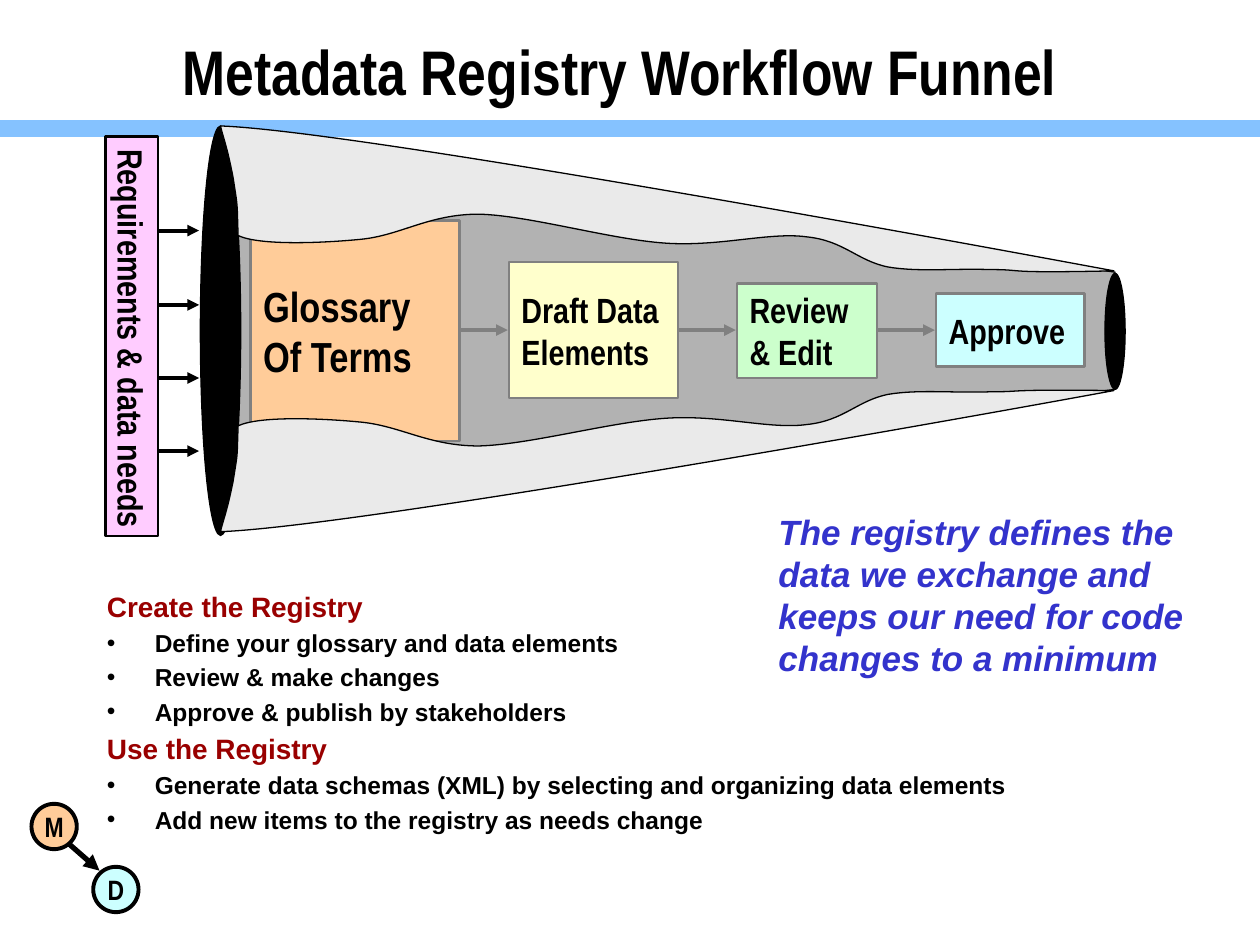
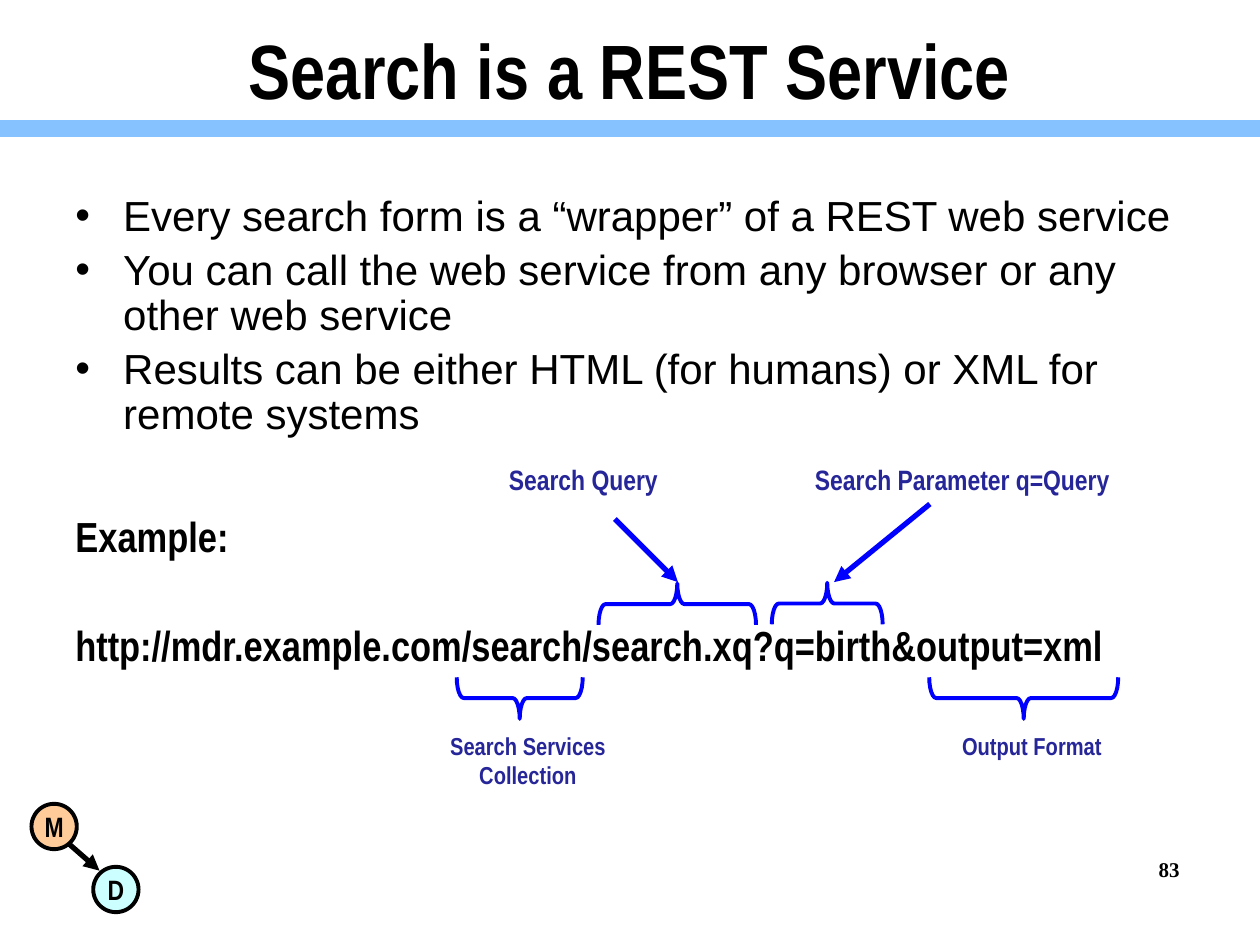
import pptx
import pptx.dml.color
import pptx.enum.shapes
import pptx.enum.text
import pptx.oxml
import pptx.oxml.ns
import pptx.util

RGB = pptx.dml.color.RGBColor
SHAPE = pptx.enum.shapes.MSO_SHAPE
ALIGN = pptx.enum.text.PP_ALIGN
ANCHOR = pptx.enum.text.MSO_ANCHOR
Pt = pptx.util.Pt
qn = pptx.oxml.ns.qn

PX = 9144  # 100 px to the inch
NARROW, SANS, SERIF = "Arial Narrow", "Arial", "Times New Roman"

BLACK = RGB(0x00, 0x00, 0x00)
GREY = RGB(0x80, 0x80, 0x80)
FUNNEL_INSIDE = RGB(0xB2, 0xB2, 0xB2)
FUNNEL_SHELL = RGB(0xEA, 0xEA, 0xEA)
BAND = RGB(0x85, 0xC2, 0xFF)
ORANGE = RGB(0xFF, 0xCC, 0x99)
YELLOW = RGB(0xFF, 0xFF, 0xCC)
GREEN = RGB(0xCC, 0xFF, 0xCC)
CYAN = RGB(0xCC, 0xFF, 0xFF)
PINK = RGB(0xFF, 0xCC, 0xFF)
DARK_RED = RGB(0x99, 0x00, 0x00)
MESSAGE_BLUE = RGB(0x33, 0x33, 0xCC)
LABEL_BLUE = RGB(0x26, 0x26, 0x99)
POINTER_BLUE = RGB(0x00, 0x00, 0xFF)


def add_part(parent, kind, box, text="", size=16, color=BLACK, font=NARROW, fill=None,
             line=None, width=1.5, align=ALIGN.LEFT, wrap=True):
    """Add a preset shape, or a text box when kind is None, with its text."""
    left, top, w, h = [v * PX for v in box]
    if kind is None:
        part = parent.shapes.add_textbox(left, top, w, h)
    else:
        part = parent.shapes.add_shape(kind, left, top, w, h)
        part.shadow.inherit = False
        if fill is None:
            part.fill.background()
        else:
            part.fill.solid()
            part.fill.fore_color.rgb = fill
        part.line.color.rgb = line
        part.line.width = Pt(width)
        part.text_frame.vertical_anchor = ANCHOR.MIDDLE
    if text:
        part.text_frame.text = text
        part.text_frame.word_wrap = wrap
        for paragraph in part.text_frame.paragraphs:
            paragraph.alignment = align
            for run in paragraph.runs:
                run.font.name, run.font.size, run.font.bold = font, Pt(size), True
                run.font.color.rgb = color
    return part


def add_line(parent, x1, y1, x2, y2, color, width, arrow=True):
    line = parent.shapes.add_connector(pptx.enum.shapes.MSO_CONNECTOR.STRAIGHT,
                                       x1 * PX, y1 * PX, x2 * PX, y2 * PX)
    line.line.color.rgb = color
    line.line.width = Pt(width)
    properties = line._element.spPr
    if arrow:
        outline = properties.find(qn("a:ln"))
        outline.append(outline.makeelement(qn("a:tailEnd"), {"type": "triangle"}))
    properties.append(properties.makeelement(qn("a:effectLst"), {}))
    return line


deck = pptx.Presentation()
deck.slide_width, deck.slide_height = 1000 * PX, 750 * PX

slides = []
for title_text, title_size, title_box in (
    ("Metadata Registry Workflow Funnel", 36, (114, 19, 756, 74)),
    ("Search is a REST Service", 44, (75, 0, 850, 109)),
):
    slide = deck.slides.add_slide(deck.slide_layouts[5])
    slides.append(slide)
    title = slide.shapes.title
    title.left, title.top, title.width, title.height = [v * PX for v in title_box]
    title.text_frame.text = title_text
    title.text_frame.auto_size = pptx.enum.text.MSO_AUTO_SIZE.NONE
    title.text_frame.vertical_anchor = ANCHOR.MIDDLE
    title.text_frame.paragraphs[0].alignment = ALIGN.CENTER
    title_font = title.text_frame.paragraphs[0].runs[0].font
    title_font.name, title_font.size, title_font.bold = NARROW, Pt(title_size), True
    title_font.color.rgb = BLACK

funnel_slide, search_slide = slides

# Emblem and band are built once and moved to the slide master
emblem = funnel_slide.shapes.add_group_shape()
for letter, left, top, fill in (("M", 25, 638, ORANGE), ("D", 74, 688, CYAN)):
    add_part(emblem, SHAPE.OVAL, (left, top, 36, 36), letter, fill=fill, line=BLACK,
             width=2.25, align=ALIGN.CENTER, wrap=False)
add_line(emblem, 55, 670, 79, 691, BLACK, 3)
band = add_line(funnel_slide, 0, 102, 1000, 102, BAND, 10, arrow=False)
master_id = 100
for shared in (emblem, band):
    for identity in shared._element.iter(qn("p:cNvPr")):
        identity.set("id", str(master_id))
        master_id += 1
    deck.slide_master.shapes._spTree.append(shared._element)

# Body text: each line is text, size, colour, bold, bulleted
heading = (16, DARK_RED, True, False)
step = (14, BLACK, True, True)
point = (24, BLACK, False, True)
for slide, box, spacing, lines in (
    (funnel_slide, (75, 463, 825, 211), 1.0, (
        ("Create the Registry", *heading),
        ("Define your glossary and data elements", *step),
        ("Review & make changes", *step),
        ("Approve & publish by stakeholders", *step),
        ("Use the Registry", *heading),
        ("Generate data schemas (XML) by selecting and organizing data elements", *step),
        ("Add new items to the registry as needs change", *step),
    )),
    (search_slide, (50, 150, 900, 217), 0.9, (
        ("Every search form is a “wrapper” of a REST web service", *point),
        ("You can call the web service from any browser or any other web service", *point),
        ("Results can be either HTML (for humans) or XML for remote systems", *point),
    )),
):
    body = add_part(slide, None, box, "\n".join(row[0] for row in lines), font=SANS)
    for number, (paragraph, row) in enumerate(zip(body.text_frame.paragraphs, lines)):
        text, size, color, bold, bulleted = row
        properties = paragraph._p.get_or_add_pPr()
        properties.set("marL", str(38 * PX))
        properties.set("indent", str(-38 * PX))
        if bulleted:
            properties.append(properties.makeelement(qn("a:buFont"), {"typeface": SANS}))
            properties.append(properties.makeelement(qn("a:buChar"), {"char": "•"}))
        paragraph.line_spacing = spacing
        if number:
            paragraph.space_before = Pt(round(size * 0.2, 1))
        font = paragraph.runs[0].font
        font.size, font.bold = Pt(size), bold
        font.color.rgb = color

# Funnel: inside, workflow steps, rims, then the shell that overlaps them
inside = [(175, 408), (885, 309), (885, 216), (175, 117)]

# Start point, then two control points and an end point for each curve
upper_shell = [
    (175, 100),
    (285, 104), (787, 197), (884, 215),
    (791, 217), (816, 214), (786, 214),
    (756, 213), (729, 216), (705, 212),
    (680, 207), (670, 191), (640, 188),
    (611, 184), (571, 196), (528, 193),
    (484, 190), (420, 171), (380, 170),
    (340, 170), (318, 187), (286, 190),
    (255, 193), (206, 195), (189, 187),
    (188, 158), (189, 167), (185, 141),
    (180, 115), (177, 109), (175, 100),
]
lower_shell = [(x, round(422 - (y - 100) * 0.97)) for x, y in upper_shell]

for outline, fill in ((inside, FUNNEL_INSIDE), (upper_shell, FUNNEL_SHELL),
                      (lower_shell, FUNNEL_SHELL)):
    if outline is upper_shell:
        for text, box, size, step_fill in (
            ("Review\n& Edit", (585, 225, 111, 75), 20, GREEN),
            ("Approve", (743, 233, 118, 58), 20, CYAN),
            ("Glossary\nOf Terms", (199, 175, 166, 175), 24, ORANGE),
            ("Draft Data\nElements", (404, 208, 134, 108), 20, YELLOW),
        ):
            add_part(funnel_slide, SHAPE.RECTANGLE, box, text, size, fill=step_fill, line=GREY)
        for x1, x2 in ((365, 403), (539, 584), (696, 742)):
            add_line(funnel_slide, x1, 262, x2, 262, GREY, 2.25)
        for rim in ((877, 217, 16, 92), (159, 100, 32, 325)):
            add_part(funnel_slide, SHAPE.OVAL, rim, fill=BLACK, line=BLACK, width=0.75)
    builder = funnel_slide.shapes.build_freeform(*outline[0], scale=PX)
    builder.add_line_segments(outline[1:], close=True)
    wall = builder.convert_to_shape()
    if outline is not inside:
        segments = list(wall._element.iter(qn("a:lnTo")))
        for first in range(0, len(segments), 3):
            curve = segments[first].makeelement(qn("a:cubicBezTo"), {})
            segments[first].addprevious(curve)
            for segment in segments[first:first + 3]:
                curve.append(segment[0])
                segment.getparent().remove(segment)
    wall.shadow.inherit = False
    wall.fill.solid()
    wall.fill.fore_color.rgb = fill
    wall.line.color.rgb = BLACK
    wall.line.width = Pt(0.75)

needs = add_part(funnel_slide, SHAPE.RECTANGLE, (-54, 246, 317, 42), "Requirements & data needs",
                 20, fill=PINK, line=BLACK, wrap=False)
needs.rotation = 90
for y in (183, 242, 300, 358):
    add_line(funnel_slide, 125, y, 158, y, BLACK, 2.25)

message = add_part(
    funnel_slide, None, (608, 400, 375, 143),
    "The registry defines the data we exchange and keeps our need for code changes to a minimum",
    20, MESSAGE_BLUE, SANS)
message.text_frame.paragraphs[0].runs[0].font.italic = True

# Annotated search address
add_part(search_slide, None, (713, 675, 233, 52), "83", 12, font=SERIF, align=ALIGN.RIGHT)
add_part(search_slide, None, (50, 487, 837, 50),
         "http://mdr.example.com/search/search.xq?q=birth&output=xml", 24, wrap=False)
add_part(search_slide, None, (50, 400, 188, 50), "Example:", 24)
add_part(search_slide, None, (637, 362, 256, 37), "Search Parameter q=Query", 16, LABEL_BLUE,
         wrap=False)
for text, box, size in (
    ("Search Query", (388, 362, 150, 37), 16),
    ("Search Services Collection", (338, 575, 162, 57), 14),
    ("Output Format", (738, 575, 162, 34), 14),
):
    add_part(search_slide, None, box, text, size, LABEL_BLUE, align=ALIGN.CENTER)
for x1, y1, x2 in ((488, 412, 538), (738, 400, 662)):
    add_line(search_slide, x1, y1, x2, 462, POINTER_BLUE, 3)
for left, top, span, turn in ((521, 417, 125, 90), (640, 435, 88, 90),
                              (396, 504, 100, 270), (796, 479, 150, 270)):
    brace = add_part(search_slide, SHAPE.LEFT_BRACE, (left, top, 33, span),
                     line=POINTER_BLUE, width=2.25)
    brace.adjustments[0] = 0.17
    brace.rotation = turn

deck.save("out.pptx")
